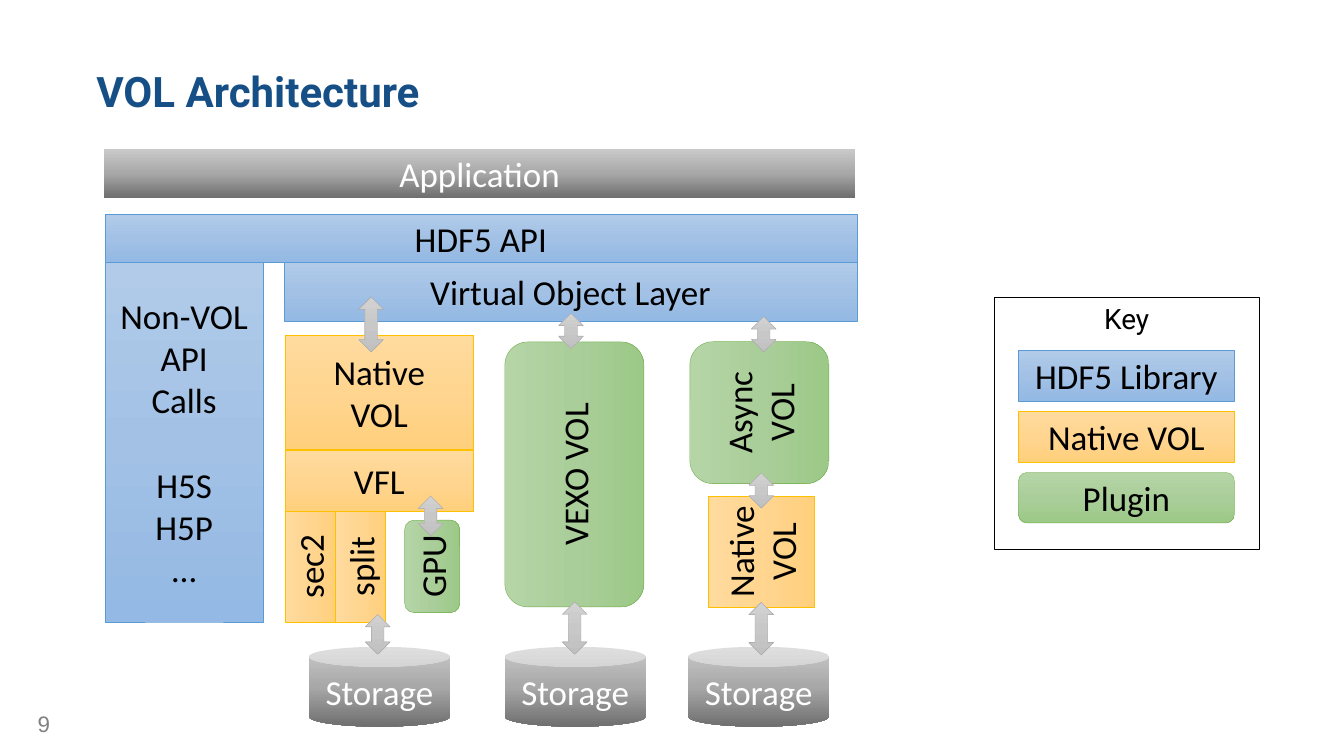
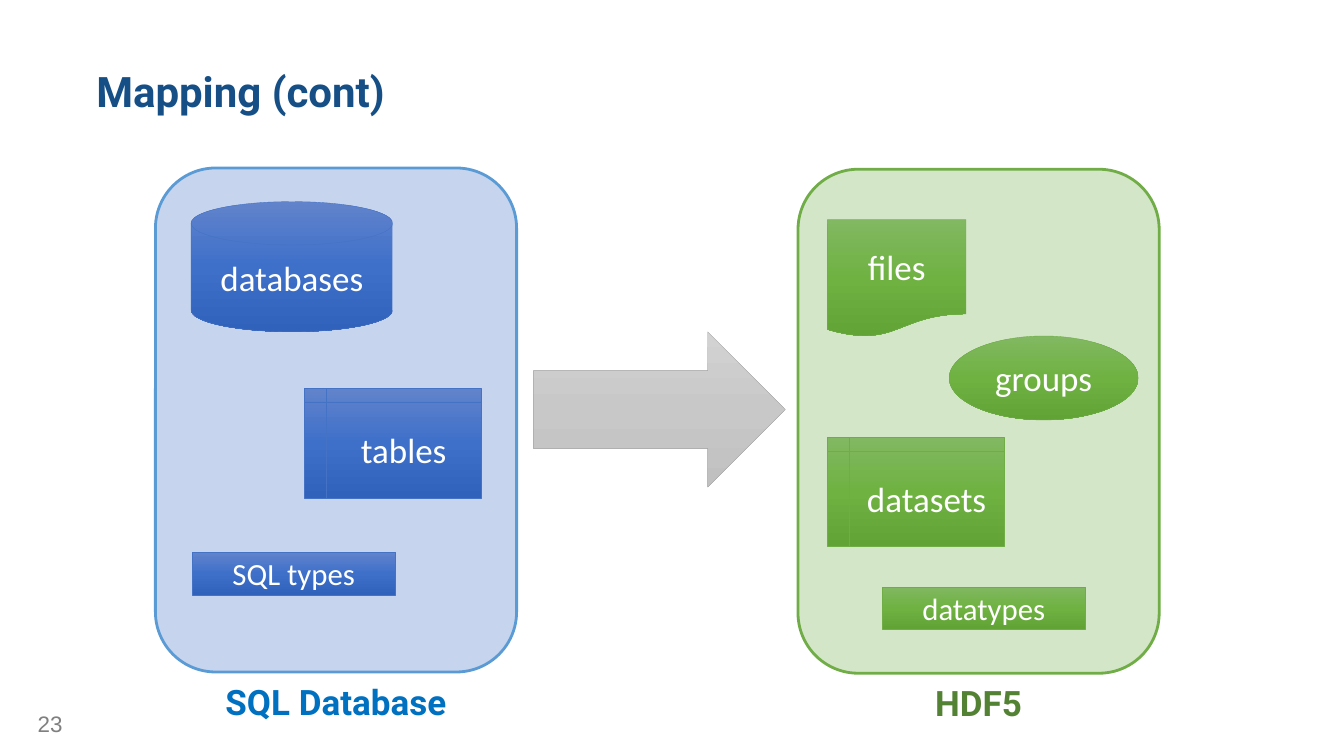
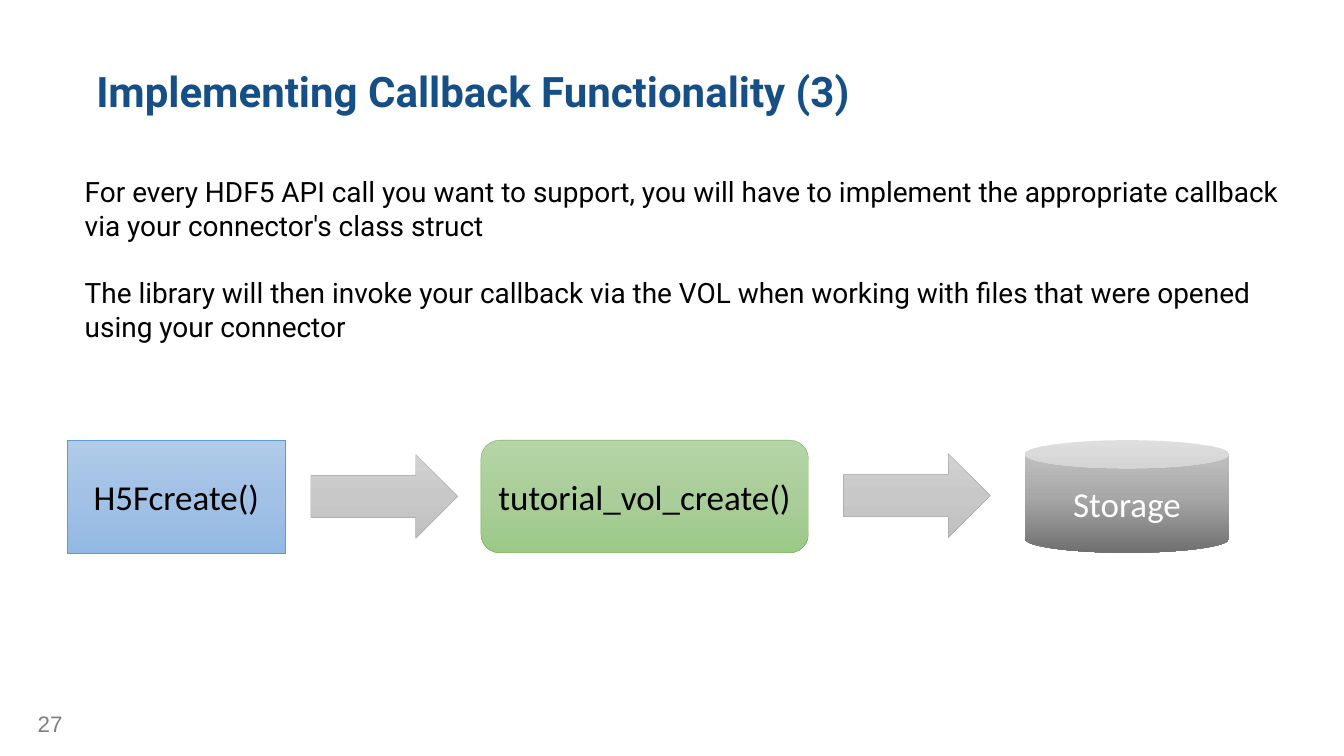
"""Build three slides on the HDF5 Virtual Object Layer, laid out on a 320 by 180 grid."""
from copy import deepcopy

from lxml.etree import SubElement
from pptx import Presentation
from pptx.dml.color import RGBColor
from pptx.enum.shapes import MSO_SHAPE as Kind
from pptx.enum.text import MSO_ANCHOR as Anchor, PP_ALIGN as Align
from pptx.oxml.ns import qn
from pptx.util import Inches, Pt

COLUMNS, ROWS = 320, 180
CELL = Inches(1 / 12)

COLORS = {
    "title": "154F86",
    "number": "808080",
    "black": "000000",
    "white": "FFFFFF",
    "sql": "4472C4",
    "sky": "5B9BD5",
    "green": "70AD47",
    "gold": "FFC000",
    "silver": "A5A5A5",
    "sql caption": "0070C0",
    "hdf5 caption": "548235",
}
STYLES = {
    "library": (["B1CBE9", "A3C1E5", "93B9E4"], "sky", "black"),
    "native": (["FFDB9E", "FFD590", "FFD07C"], "gold", "black"),
    "plugin": (["B5D5A7", "AACE9A", "9CC987"], "green", "black"),
    "storage": (["C9C9C9", "A8A8A8", "6F6F6F"], None, "white"),
    "arrow": (["D2D2D2", "C8C8C8", "C0C0C0"], "silver", "black"),
    "sql": (["6183CB", "3E70CA", "3062BB"], "sql", "white"),
    "hdf5": (["81B861", "6FB242", "62A336"], "green", "white"),
}


def write(shape, lines, size=50, color="black", font="Calibri", bold=False, align=Align.CENTER):
    frame = shape.text_frame
    frame.word_wrap = True
    for index, line in enumerate(lines):
        paragraph = frame.add_paragraph() if index else frame.paragraphs[0]
        paragraph.alignment = align
        run = paragraph.add_run()
        run.text = line
        run.font.name = font
        run.font.size = Pt(size)
        run.font.bold = bold
        run.font.color.rgb = RGBColor.from_string(COLORS[color])
    return frame


def draw(slide, kind, box, style=None, lines=(), size=50, rotation=0):
    place = [round(length * CELL) for length in box]
    if kind is None:
        return slide.shapes.add_textbox(*place)
    shape = slide.shapes.add_shape(kind, *place)
    shape.shadow.inherit = False
    shape.rotation = rotation
    if style is None:
        shape.fill.background()
        return shape
    tones, outline, text_color = STYLES[style]
    shape.fill.gradient()
    shape.fill.gradient_angle = 270
    stops = shape._element.spPr.find(qn("a:gradFill")).find(qn("a:gsLst"))
    stops.append(deepcopy(stops[-1]))
    for stop, position, tone in zip(shape.fill.gradient_stops, (0, 0.5, 1), tones):
        stop.position = position
        stop.color.rgb = RGBColor.from_string(tone)
    if outline:
        shape.line.color.rgb = RGBColor.from_string(COLORS[outline])
        shape.line.width = Pt(0.5)
    else:
        shape.line.fill.background()
    write(shape, lines, size, text_color)
    return shape


presentation = Presentation()
presentation.slide_width = COLUMNS * CELL
presentation.slide_height = ROWS * CELL

slides = []
for number, title in [
    ("9", "VOL Architecture"),
    ("23", "Mapping (cont)"),
    ("27", "Implementing Callback Functionality (3)"),
]:
    slide = presentation.slides.add_slide(presentation.slide_layouts[6])
    slides.append(slide)
    number_box = draw(slide, None, (7.8, 168.6, 9, 7.7))
    write(number_box, [number], 32, "number", "Arial", align=Align.LEFT)
    title_box = draw(slide, None, (22.2, 17.6, 223.8, 9.6))
    frame = write(title_box, [title], 60, "title", "Roboto", True, Align.LEFT)
    frame.vertical_anchor = Anchor.MIDDLE
    frame.margin_left = frame.margin_right = frame.margin_top = frame.margin_bottom = Inches(0.06)
    frame.paragraphs[0].line_spacing = 0.9
architecture, mapping, callbacks = slides

draw(architecture, Kind.RECTANGLE, (24.7, 35.5, 179, 11.5), "storage", ["Application"])
draw(architecture, Kind.RECTANGLE, (25, 51, 179, 11.5), "library", ["HDF5 API"])
other_calls = draw(architecture, Kind.RECTANGLE, (25, 62.5, 37.7, 85.6), "library",
                   ["Non-VOL", "API", "Calls", "H5S", "H5P", "…"])
other_calls.text_frame.paragraphs[3].space_before = Pt(61)
draw(architecture, Kind.RECTANGLE, (67.7, 62.5, 136.3, 14), "library", ["Virtual Object Layer"])
draw(architecture, Kind.RECTANGLE, (67.9, 79.9, 44.8, 27), "native", ["Native", "VOL"])

for kind, box, style, lines in [
    (Kind.ROUNDED_RECTANGLE, (91.9, 128.3, 22, 13.1), "plugin", ["GPU"]),
    (Kind.RECTANGLE, (60.6, 129, 26.4, 11.8), "native", ["sec2"]),
    (Kind.RECTANGLE, (72.6, 129, 26.4, 11.8), "native", ["split"]),
    (Kind.ROUNDED_RECTANGLE, (105.2, 96.4, 63.1, 33.1), "plugin", ["VEXO VOL"]),
    (Kind.ROUNDED_RECTANGLE, (163.9, 81.7, 33.8, 33.1), "plugin", ["Async", "VOL"]),
    (Kind.RECTANGLE, (168, 118.7, 26.4, 25.2), "native", ["Native", "VOL"]),
]:
    draw(architecture, kind, box, style, lines, rotation=270)
draw(architecture, Kind.RECTANGLE, (67.9, 107.3, 44.8, 14.4), "native", ["VFL"])

for left in (163.9, 120.2, 73.6):
    draw(architecture, Kind.CAN, (left, 154, 33.5, 19), "storage", ["Storage"])

for left, top, height in [
    (85.4, 70.7, 13.1), (133, 74.6, 8.4), (178.9, 75.4, 8.4), (178.3, 112.6, 8.4),
    (99.6, 118.1, 9.5), (87, 146.3, 9.5), (133.9, 143.3, 12.5), (178.3, 143.4, 12.5),
]:
    draw(architecture, Kind.UP_DOWN_ARROW, (left, top, 5.9, height), "arrow")

key_title = draw(architecture, None, (242.5, 71.3, 51.5, 9.2))
write(key_title, ["Key"], 40, font="Roboto")
for row, (kind, style, label) in enumerate([
    (Kind.RECTANGLE, "library", "HDF5 Library"),
    (Kind.RECTANGLE, "native", "Native VOL"),
    (Kind.ROUNDED_RECTANGLE, "plugin", "Plugin"),
]):
    draw(architecture, kind, (242.5, 83.5 + 14.5 * row, 51.4, 12), style, [label])
key_frame = draw(architecture, Kind.RECTANGLE, (236.8, 70.7, 63, 60.2))
key_frame.line.color.rgb = RGBColor.from_string(COLORS["black"])
key_frame.line.width = Pt(1)

for left, top, fill, outline, caption, caption_color in [
    (37, 40, "sql", "sky", "SQL Database", "sql caption"),
    (190, 40.3, "green", "green", "HDF5", "hdf5 caption"),
]:
    panel = draw(mapping, Kind.ROUNDED_RECTANGLE, (left, top, 86, 120))
    panel.fill.solid()
    panel.fill.fore_color.rgb = RGBColor.from_string(COLORS[fill])
    fill_color = panel._element.spPr.find(qn("a:solidFill"))[0]
    SubElement(fill_color, qn("a:alpha"), val="30000")
    panel.line.color.rgb = RGBColor.from_string(COLORS[outline])
    panel.line.width = Pt(4)
    caption_box = draw(mapping, None, (left, top + 121.4, 86, 11.3))
    write(caption_box, [caption], 50, caption_color, "Roboto", True)

draw(mapping, Kind.RIGHT_ARROW, (127, 79, 60, 37), "arrow")
for kind, box, style, label, size in [
    (Kind.OVAL, (226, 80, 45, 20), "hdf5", "groups", 50),
    (Kind.FLOWCHART_DOCUMENT, (197, 52.3, 33, 28), "hdf5", "files", 50),
    (Kind.FLOWCHART_INTERNAL_STORAGE, (197, 104.1, 42, 26), "hdf5", "datasets", 50),
    (Kind.RECTANGLE, (210, 139.7, 48.5, 10.1), "hdf5", "datatypes", 44),
    (Kind.RECTANGLE, (45.7, 131.5, 48.5, 10.1), "sql", "SQL types", 44),
    (Kind.FLOWCHART_MAGNETIC_DISK, (45.5, 48, 48, 31), "sql", "databases", 50),
    (Kind.FLOWCHART_INTERNAL_STORAGE, (72.5, 92.5, 42, 26), "sql", "tables", 50),
]:
    draw(mapping, kind, box, style, [label], size)

explanation = draw(callbacks, None, (19, 41, 288, 41.6))
frame = write(explanation, [
    "For every HDF5 API call you want to support, you will have to implement the appropriate "
    "callback via your connector's class struct",
    "The library will then invoke your callback via the VOL when working with files that were "
    "opened using your connector",
], 40, font="Roboto", align=Align.LEFT)
frame.paragraphs[1].space_before = Pt(48)

for kind, box, style, lines in [
    (Kind.RECTANGLE, (16, 104.8, 52, 26.8), "library", ["H5Fcreate()"]),
    (Kind.RIGHT_ARROW, (74, 108.2, 35, 20), "arrow", []),
    (Kind.ROUNDED_RECTANGLE, (114.5, 104.8, 78, 26.8), "plugin", ["tutorial_vol_create()"]),
    (Kind.RIGHT_ARROW, (200.8, 108, 35, 20), "arrow", []),
    (Kind.CAN, (244, 104.8, 48.7, 26.8), "storage", ["Storage"]),
]:
    draw(callbacks, kind, box, style, lines)

presentation.save("out.pptx")
